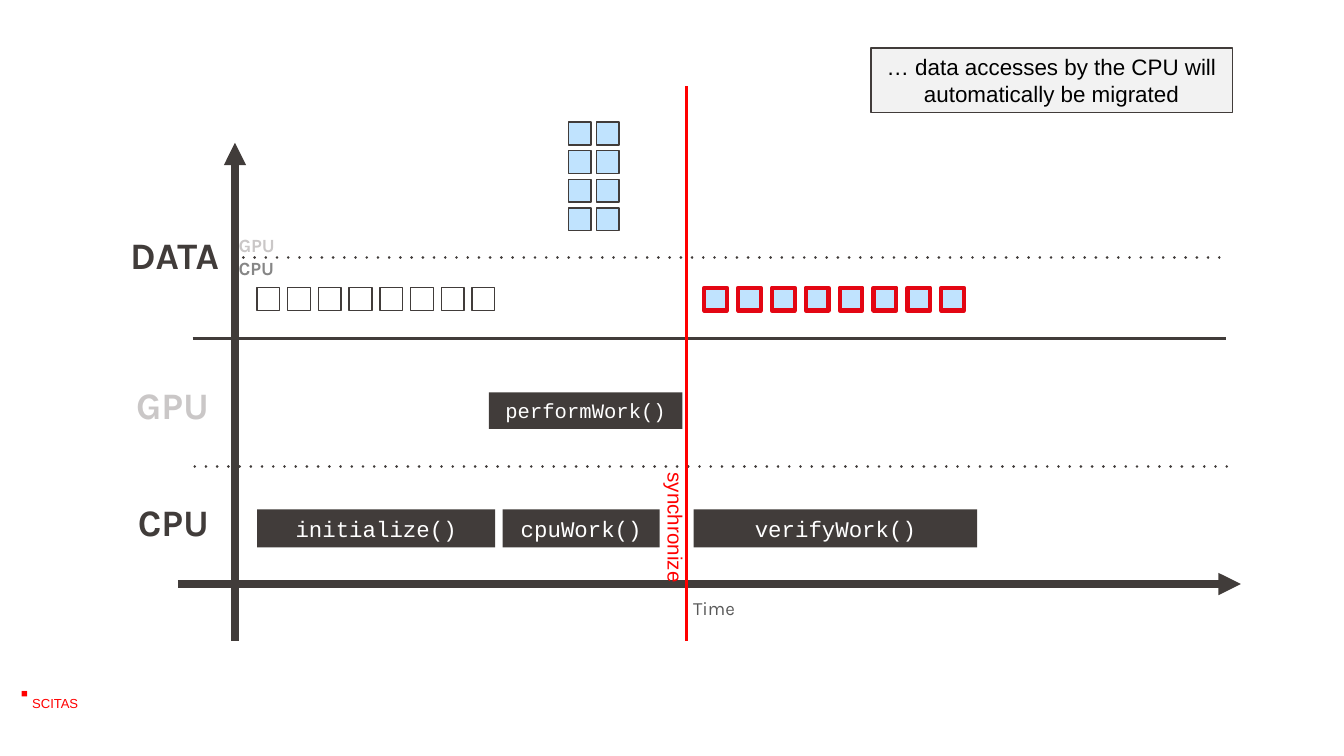
from dataclasses import dataclass

from lxml.etree import SubElement
from pptx import Presentation
from pptx.dml.color import RGBColor
from pptx.enum.shapes import MSO_CONNECTOR, MSO_SHAPE
from pptx.enum.text import MSO_ANCHOR, PP_ALIGN
from pptx.oxml.ns import qn
from pptx.util import Cm, Pt


@dataclass(frozen=True)
class Theme:
    """Colours, fonts and type sizes of the timeline."""

    ink: str = "413C3A"
    muted: str = "CAC7C7"
    grey: str = "868686"
    time: str = "595959"
    data: str = "C0E3FE"
    migrated: str = "E30613"
    accent: str = "FF0000"
    panel: str = "F2F2F2"
    white: str = "FFFFFF"
    black: str = "000000"
    heading: str = "Karla"
    body: str = "Arial"
    code: str = "Courier New"
    row_size: int = 20
    code_size: int = 12
    sync_size: int = 11
    small_size: int = 10
    footer_size: int = 7
    bullet_size: int = 6


THEME = Theme()


def rgb(colour):
    """Turn a hex colour into an RGBColor."""
    return RGBColor.from_string(colour)


def write(shape, text, font, size, colour, bold=False, align=PP_ALIGN.LEFT,
          anchor=MSO_ANCHOR.BOTTOM, spacing=1.0, insets=(0.2, 0.1, 0.2, 0.1)):
    """Put one formatted paragraph into a shape."""
    frame = shape.text_frame
    frame.word_wrap = True
    frame.vertical_anchor = anchor
    (frame.margin_left, frame.margin_top,
     frame.margin_right, frame.margin_bottom) = map(Cm, insets)
    paragraph = frame.paragraphs[0]
    paragraph.text = text
    paragraph.alignment = align
    paragraph.line_spacing = spacing
    paragraph.font.name = font
    paragraph.font.size = Pt(size)
    paragraph.font.bold = bold
    paragraph.font.color.rgb = rgb(colour)


def add_label(shapes, box, text, font, size, colour, **layout):
    """Add a text box and return it."""
    label = shapes.add_textbox(*map(Cm, box))
    write(label, text, font, size, colour, **layout)
    return label


def add_box(shapes, box, fill=None, outline=None, weight=0.75):
    """Add a flat rectangle and return it."""
    rectangle = shapes.add_shape(MSO_SHAPE.RECTANGLE, *map(Cm, box))
    rectangle.shadow.inherit = False
    for paint, colour in ((rectangle.fill, fill), (rectangle.line.fill, outline)):
        if colour:
            paint.solid()
            paint.fore_color.rgb = rgb(colour)
        else:
            paint.background()
    if outline:
        rectangle.line.width = Pt(weight)
    return rectangle


def add_line(shapes, start, end, colour=THEME.ink, weight=1.5, dotted=False, arrow=False):
    """Add a straight line, optionally dotted or with an arrowhead."""
    line = shapes.add_connector(MSO_CONNECTOR.STRAIGHT, *map(Cm, (*start, *end)))
    line.line.color.rgb = rgb(colour)
    line.line.width = Pt(weight)
    properties = line._element.spPr
    stroke = properties.find(qn("a:ln"))
    if dotted:
        stroke.set("cap", "rnd")
        SubElement(stroke, qn("a:prstDash"), val="dot")
    if arrow:
        SubElement(stroke, qn("a:tailEnd"), type="triangle")
    SubElement(properties, qn("a:effectLst"))


def add_data_blocks(slide, left, top, columns, rows, pitch_x, pitch_y=0, **look):
    """Add a grouped grid of small data blocks."""
    blocks = slide.shapes.add_group_shape().shapes
    for row in range(rows):
        for column in range(columns):
            position = (left + column * pitch_x, top + row * pitch_y)
            add_box(blocks, (*position, 0.43, 0.43), **look)


def add_task(slide, left, top, width, height, call, size=THEME.code_size):
    """Add a dark bar for one function call."""
    task = add_box(slide.shapes, (left, top, width, height), fill=THEME.ink)
    write(task, call, THEME.code, size, THEME.white,
          align=PP_ALIGN.CENTER, anchor=MSO_ANCHOR.MIDDLE)


def add_axes(slide):
    """Draw the two axes and the lines between the rows."""
    shapes = slide.shapes
    add_line(shapes, (4.44, 12.11), (4.44, 2.7), weight=4, arrow=True)
    add_line(shapes, (3.36, 11.04), (23.45, 11.04), weight=4, arrow=True)
    add_line(shapes, (3.68, 8.82), (23.23, 8.82), dotted=True)
    add_line(shapes, (3.64, 6.4), (23.17, 6.4))
    add_line(shapes, (4.6, 4.87), (23.17, 4.87), dotted=True)


def add_row_labels(slide):
    """Name the rows, the data locations and the time axis."""
    shapes = slide.shapes
    for top, name, colour in ((9.5, "CPU", THEME.ink), (7.29, "GPU", THEME.muted)):
        add_label(shapes, (0.33, top, 4.04, 0.89), name, THEME.heading, THEME.row_size,
                  colour, bold=True, align=PP_ALIGN.RIGHT, spacing=0.9,
                  insets=(0.2, 0.1, 0.42, 0.1))
    add_label(shapes, (2.26, 4.45, 2.36, 0.89), "DATA", THEME.heading, THEME.row_size,
              THEME.ink, bold=True, spacing=0.9)
    for top, name, colour in ((4.85, "CPU", THEME.grey), (4.42, "GPU", THEME.muted)):
        add_label(shapes, (4.31, top, 1.45, 0.54), name, THEME.heading,
                  THEME.small_size, colour, bold=True, spacing=0.9)
    add_label(shapes, (12.9, 11.23, 2.04, 0.58), "Time", THEME.heading,
              THEME.small_size, THEME.time, spacing=0.9)


def add_synchronize(slide):
    """Mark the synchronisation point across all rows."""
    shapes = slide.shapes.add_group_shape().shapes
    add_line(shapes, (12.98, 1.63), (12.98, 12.11), colour=THEME.accent)
    caption = add_label(shapes, (11.35, 9.8, 2.82, 0.69), "synchronize", THEME.body,
                        THEME.sync_size, THEME.accent, anchor=MSO_ANCHOR.TOP)
    caption.rotation = 90


def add_callout(slide):
    """Add the explanation at the top right."""
    callout = add_box(slide.shapes, (16.46, 0.91, 6.83, 1.22), THEME.panel, THEME.ink)
    write(callout, "… data accesses by the CPU will automatically be migrated",
          THEME.body, 12, THEME.black, align=PP_ALIGN.CENTER, anchor=MSO_ANCHOR.TOP)


def add_footer(slide):
    """Add the footer name with its square mark."""
    add_label(slide.shapes, (0.15, 12.88, 0.79, 0.79), "■", THEME.body,
              THEME.bullet_size, THEME.accent, bold=True, anchor=MSO_ANCHOR.TOP,
              spacing=0.9, insets=(0.25,) * 4)
    add_label(slide.shapes, (0.36, 12.5, 1.42, 1.57), "SCITAS", THEME.body,
              THEME.footer_size, THEME.accent, anchor=MSO_ANCHOR.MIDDLE,
              insets=(0.25, 0.13, 0.1, 0.13))


def main():
    """Build the slide and save it."""
    deck = Presentation()
    deck.slide_width, deck.slide_height = Cm(25.4), Cm(14.29)
    slide = deck.slides.add_slide(deck.slide_layouts[6])
    add_footer(slide)
    add_axes(slide)
    add_task(slide, 4.86, 9.63, 4.5, 0.72, "initialize()")
    add_task(slide, 9.5, 9.63, 2.97, 0.72, "cpuWork()")
    add_task(slide, 13.11, 9.63, 5.36, 0.72, "verifyWork()")
    add_task(slide, 9.24, 7.42, 3.66, 0.69, "performWork()", size=11)
    add_data_blocks(slide, 4.86, 5.44, 8, 1, 0.58, outline=THEME.ink)
    add_data_blocks(slide, 10.74, 2.31, 2, 4, 0.53, 0.54, fill=THEME.data, outline=THEME.ink)
    add_data_blocks(slide, 13.31, 5.44, 8, 1, 0.64,
                    fill=THEME.data, outline=THEME.migrated, weight=2.25)
    add_synchronize(slide)
    add_callout(slide)
    add_row_labels(slide)
    deck.save("out.pptx")


if __name__ == "__main__":
    main()
